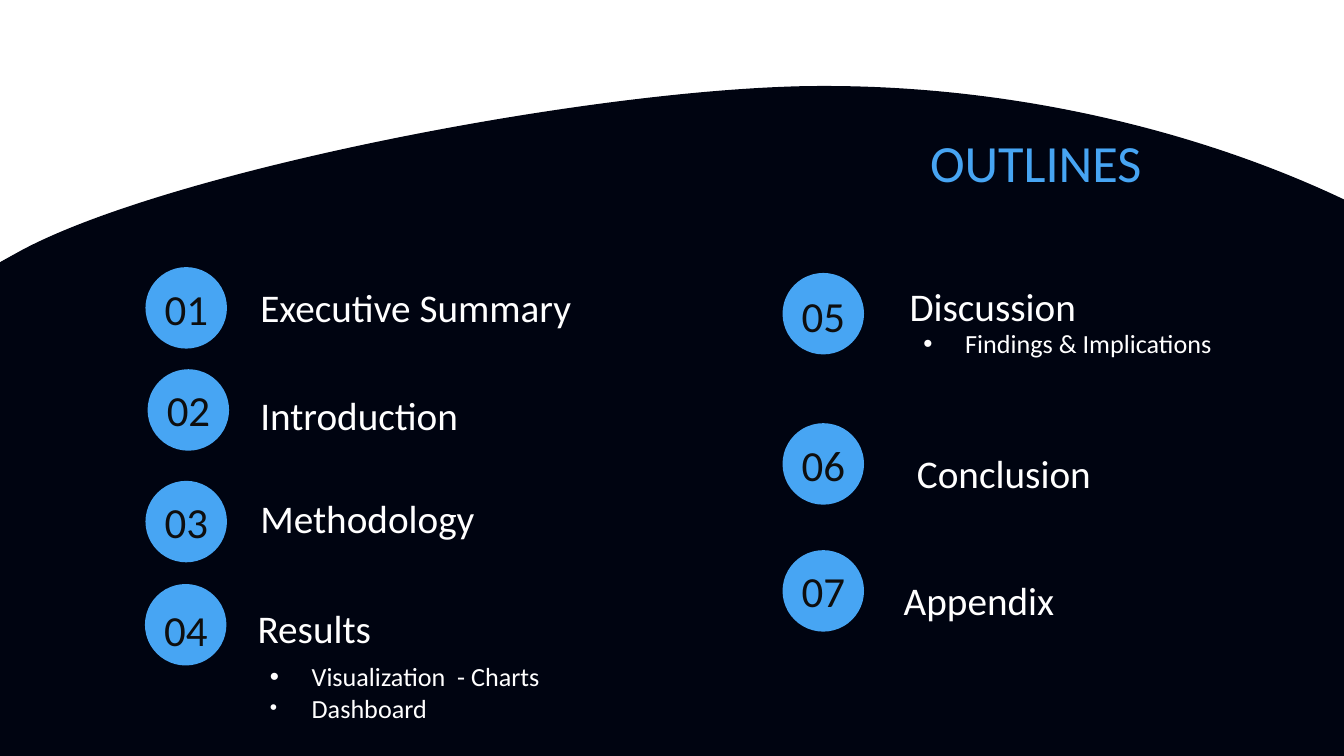
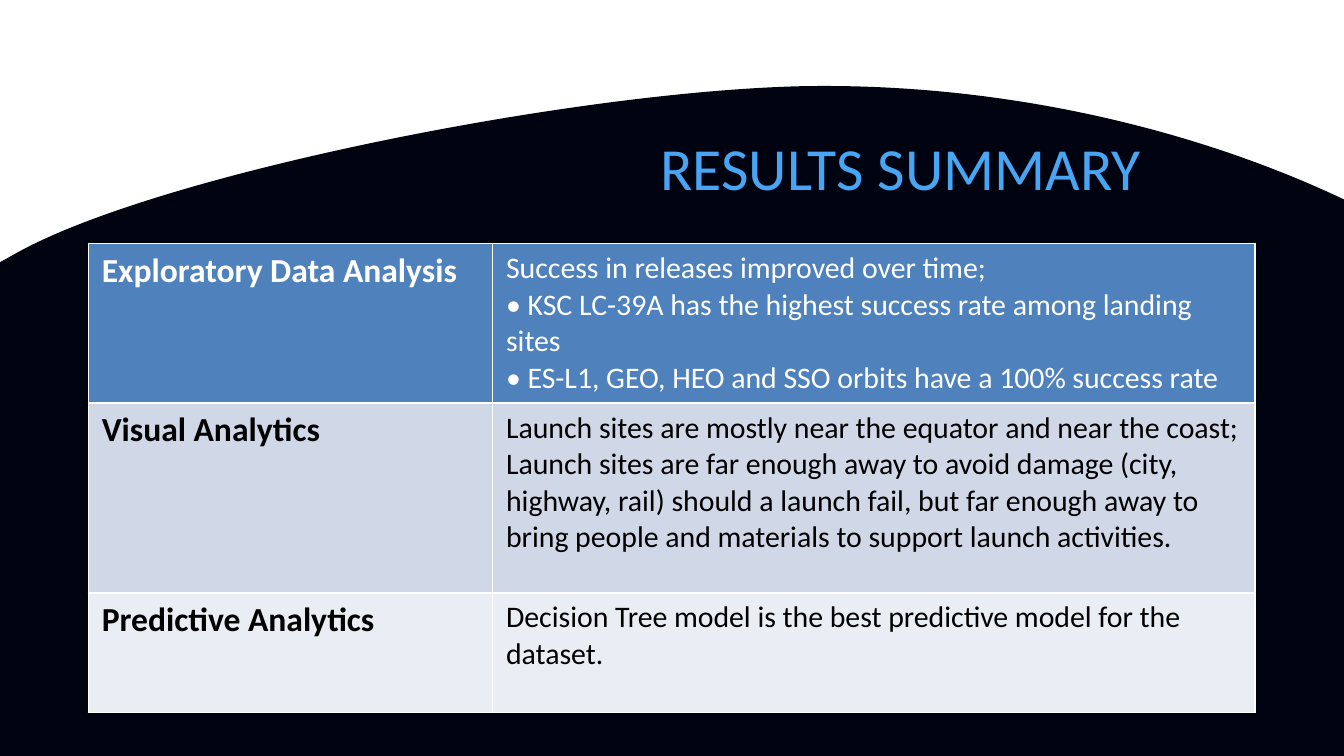
"""Builds the outline and results summary slides over a shared dark wave."""
from dataclasses import dataclass
from typing import Optional, Sequence

from lxml.etree import SubElement
from pptx import Presentation
from pptx.dml.color import RGBColor
from pptx.enum.shapes import MSO_SHAPE as Preset
from pptx.enum.text import MSO_ANCHOR as Anchor, MSO_AUTO_SIZE as AutoSize, PP_ALIGN as Align
from pptx.oxml.ns import qn
from pptx.shapes.autoshape import Shape
from pptx.slide import Slide
from pptx.text.text import TextFrame
from pptx.util import Cm, Pt

FONT = "Calibri"
WHITE = RGBColor(0xFF, 0xFF, 0xFF)
BLACK = RGBColor(0x00, 0x00, 0x00)
NIGHT = RGBColor(0x00, 0x04, 0x11)
SKY = RGBColor(0x47, 0xA5, 0xF3)
INK = RGBColor(0x0E, 0x0E, 0x0E)
HEADER_BLUE = RGBColor(0x4F, 0x81, 0xBD)
BAND_BLUE = RGBColor(0xD0, 0xD8, 0xE8)
BAND_PALE = RGBColor(0xE9, 0xED, 0xF4)

TWO_CONTENT, TITLE_ONLY = 3, 5
BADGE_SIZE = 1.54
NUMBER_SHIFT = 0.37
WAVE_START = (-3.63, 10.82)
WAVE_CURVES = (
    ((-5.72, 8.33), (-2.31, 6.22), (0.43, 4.72)),
    ((3.2, 3.25), (10.87, 1.73), (15.16, 1.63)),
    ((19.46, 1.55), (23.44, 2.69), (26.19, 4.17)),
    ((28.96, 5.64), (31.27, 8.2), (29.49, 10.82)),
    ((27.71, 13.44), (22.07, 19.74), (12.93, 19.74)),
    ((3.78, 19.74), (-1.55, 13.34), WAVE_START),
)


@dataclass(frozen=True)
class Box:
    """A place on the slide, in centimetres."""
    left: float
    top: float
    width: float
    height: float

    def lengths(self) -> tuple[Cm, Cm, Cm, Cm]:
        """Return the position and size as lengths."""
        return Cm(self.left), Cm(self.top), Cm(self.width), Cm(self.height)


@dataclass(frozen=True)
class Topic:
    """A numbered outline entry, in centimetres."""
    label: str
    badge_left: float
    badge_top: float
    number_top: float
    label_left: float
    label_top: float


@dataclass(frozen=True)
class SubList:
    """A bulleted list with a size in percent for each bullet."""
    lines: tuple[str, ...]
    bullet_sizes: tuple[int, ...]
    box: Box


@dataclass(frozen=True)
class Finding:
    """A table row with its heading, statements and look."""
    heading: str
    statements: tuple[str, ...]
    height: float
    fill: RGBColor
    ink: RGBColor


WAVE_BOX = Box(-4.27, 1.63, 34.39, 18.11)
TITLE_BOX = Box(0.41, 2.47, 21.41, 1.17)
TABLE_BOX = Box(1.67, 4.6, 22.05, 8.8)
COLUMN_WIDTHS = (7.64, 14.41)

TOPICS = (
    Topic("Executive Summary", 2.75, 5.05, 4.83, 4.67, 5.23),
    Topic("Introduction", 2.79, 6.98, 6.75, 4.67, 7.26),
    Topic("Methodology", 2.75, 9.09, 8.86, 4.67, 9.22),
    Topic("Results", 2.74, 11.04, 10.9, 4.62, 11.29),
    Topic("Discussion", 14.79, 5.16, 4.96, 16.94, 5.21),
    Topic("Conclusion", 14.79, 8, 7.78, 17.08, 8.36),
    Topic("Appendix", 14.79, 10.4, 10.16, 16.83, 10.77),
)
SUB_LISTS = (
    SubList(("Visualization  - Charts", "Dashboard"), (100, 80), Box(4.85, 12.49, 6.53, 1.52)),
    SubList(("Findings & Implications",), (100,), Box(17.2, 6.19, 7.49, 0.99)),
)
FINDINGS = (
    Finding("Exploratory Data Analysis", (
        "Success in releases improved over time;",
        "• KSC LC-39A has the highest success rate among landing sites",
        "• ES-L1, GEO, HEO and SSO orbits have a 100% success rate",
    ), 2.95, HEADER_BLUE, WHITE),
    Finding("Visual Analytics", (
        "Launch sites are mostly near the equator and near the coast;",
        "Launch sites are far enough away to avoid damage (city, highway, rail) should a launch "
        "fail, but far enough away to bring people and materials to support launch activities.",
    ), 3.59, BAND_BLUE, BLACK),
    Finding("Predictive Analytics", (
        "Decision Tree model is the best predictive model for the dataset.",
    ), 2.26, BAND_PALE, BLACK),
)


def write(frame: TextFrame, lines: Sequence[str], *, size: float, color: RGBColor,
          bold: bool = False, align: Align = Align.LEFT, line_spacing: float = 1.0,
          space_after: float = 0, bullet_sizes: Optional[Sequence[int]] = None) -> None:
    """Write one formatted paragraph for each line."""
    for index, line in enumerate(lines):
        paragraph = frame.add_paragraph() if index else frame.paragraphs[0]
        if bullet_sizes:
            add_bullet(paragraph._p.get_or_add_pPr(), color, bullet_sizes[index])
        paragraph.alignment = align
        paragraph.line_spacing = line_spacing
        paragraph.space_before = Pt(0)
        paragraph.space_after = Pt(space_after)
        run = paragraph.add_run()
        run.text = line
        run.font.name = FONT
        run.font.size = Pt(size)
        run.font.bold = bold
        run.font.color.rgb = color


def add_bullet(properties, color: RGBColor, percent: int) -> None:
    """Give a paragraph a hanging round bullet."""
    properties.set("marL", str(Cm(0.79)))
    properties.set("indent", str(-Cm(0.79)))
    bullet_color = SubElement(properties, qn("a:buClr"))
    SubElement(bullet_color, qn("a:srgbClr"), val=str(color))
    SubElement(properties, qn("a:buSzPct"), val=str(percent * 1000))
    SubElement(properties, qn("a:buFont"), typeface="Arial")
    SubElement(properties, qn("a:buChar"), char="•")


def place(holder: Shape, box: Box, inset_top: float = 0) -> TextFrame:
    """Move a text holder into its box and return its prepared frame."""
    holder.left, holder.top, holder.width, holder.height = box.lengths()
    frame = holder.text_frame
    frame.word_wrap = True
    frame.auto_size = AutoSize.NONE
    frame.vertical_anchor = Anchor.TOP
    frame.margin_left = frame.margin_right = frame.margin_bottom = Cm(0.25)
    frame.margin_top = Cm(inset_top)
    return frame


def add_text(slide: Slide, box: Box, inset_top: float = 0) -> TextFrame:
    """Add a text box and return its frame."""
    return place(slide.shapes.add_textbox(*box.lengths()), box, inset_top)


def paint(shape: Shape, color: RGBColor) -> None:
    """Fill a shape flat, with no line or shadow."""
    shape.shadow.inherit = False
    shape.fill.solid()
    shape.fill.fore_color.rgb = color
    shape.line.fill.background()


def add_wave(slide: Slide) -> None:
    """Draw the wave behind everything else, bending its segments into curves."""
    builder = slide.shapes.build_freeform(*(Cm(value) for value in WAVE_START))
    builder.add_line_segments([(Cm(x), Cm(y)) for _, _, (x, y) in WAVE_CURVES], close=True)
    wave = builder.convert_to_shape()
    wave.left, wave.top, wave.width, wave.height = WAVE_BOX.lengths()
    outline = next(wave._element.iter(qn("a:path")))
    outline.clear()
    outline.set("w", str(wave.width))
    outline.set("h", str(wave.height))
    steps = [("a:moveTo", (WAVE_START,))] + [("a:cubicBezTo", curve) for curve in WAVE_CURVES]
    for tag, points in steps:
        segment = SubElement(outline, qn(tag))
        for x, y in points:
            SubElement(segment, qn("a:pt"), x=str(Cm(x - WAVE_BOX.left)),
                       y=str(Cm(y - WAVE_BOX.top)))
    SubElement(outline, qn("a:close"))
    paint(wave, NIGHT)
    slide.shapes._spTree.insert(2, wave._element)


def add_base(deck, layout: int, title: str, title_size: float) -> Slide:
    """Add a slide with the wave behind its title."""
    slide = deck.slides.add_slide(deck.slide_layouts[layout])
    add_wave(slide)
    write(place(slide.shapes.title, TITLE_BOX), [title], size=title_size, color=SKY,
          align=Align.RIGHT)
    return slide


def add_topic(slide: Slide, number: int, topic: Topic) -> None:
    """Draw a round badge, its number and its label."""
    badge_box = Box(topic.badge_left, topic.badge_top, BADGE_SIZE, BADGE_SIZE)
    paint(slide.shapes.add_shape(Preset.OVAL, *badge_box.lengths()), SKY)
    number_box = Box(topic.badge_left - NUMBER_SHIFT, topic.number_top, 2.29, 1.55)
    write(add_text(slide, number_box, 0.51), [f"{number:02}"], size=23, color=INK,
          align=Align.CENTER)
    label_box = Box(topic.label_left, topic.label_top, 8.03, 0.99)
    write(add_text(slide, label_box), [topic.label], size=21, color=WHITE,
          line_spacing=1.15, space_after=12)


def add_findings(slide: Slide) -> None:
    """Draw the table of findings."""
    table = slide.shapes.add_table(len(FINDINGS), len(COLUMN_WIDTHS), *TABLE_BOX.lengths()).table
    for column, width in zip(table.columns, COLUMN_WIDTHS):
        column.width = Cm(width)
    for row, finding in zip(table.rows, FINDINGS):
        row.height = Cm(finding.height)
        for cell in row.cells:
            cell.fill.solid()
            cell.fill.fore_color.rgb = finding.fill
        heading, statements = row.cells
        write(heading.text_frame, [finding.heading], size=18, color=finding.ink, bold=True)
        write(statements.text_frame, finding.statements, size=16, color=finding.ink)


def main() -> None:
    """Build and save the deck."""
    deck = Presentation()
    deck.slide_width, deck.slide_height = Cm(25.4), Cm(14.29)

    outline = add_base(deck, TWO_CONTENT, "OUTLINES", 28)
    for number, topic in enumerate(TOPICS, start=1):
        add_topic(outline, number, topic)
    for index, sub_list in enumerate(SUB_LISTS, start=1):
        write(place(outline.placeholders[index], sub_list.box), sub_list.lines, size=14,
              color=WHITE, bullet_sizes=sub_list.bullet_sizes)

    summary = add_base(deck, TITLE_ONLY, "RESULTS SUMMARY", 32)
    add_findings(summary)
    deck.save("out.pptx")


if __name__ == "__main__":
    main()
